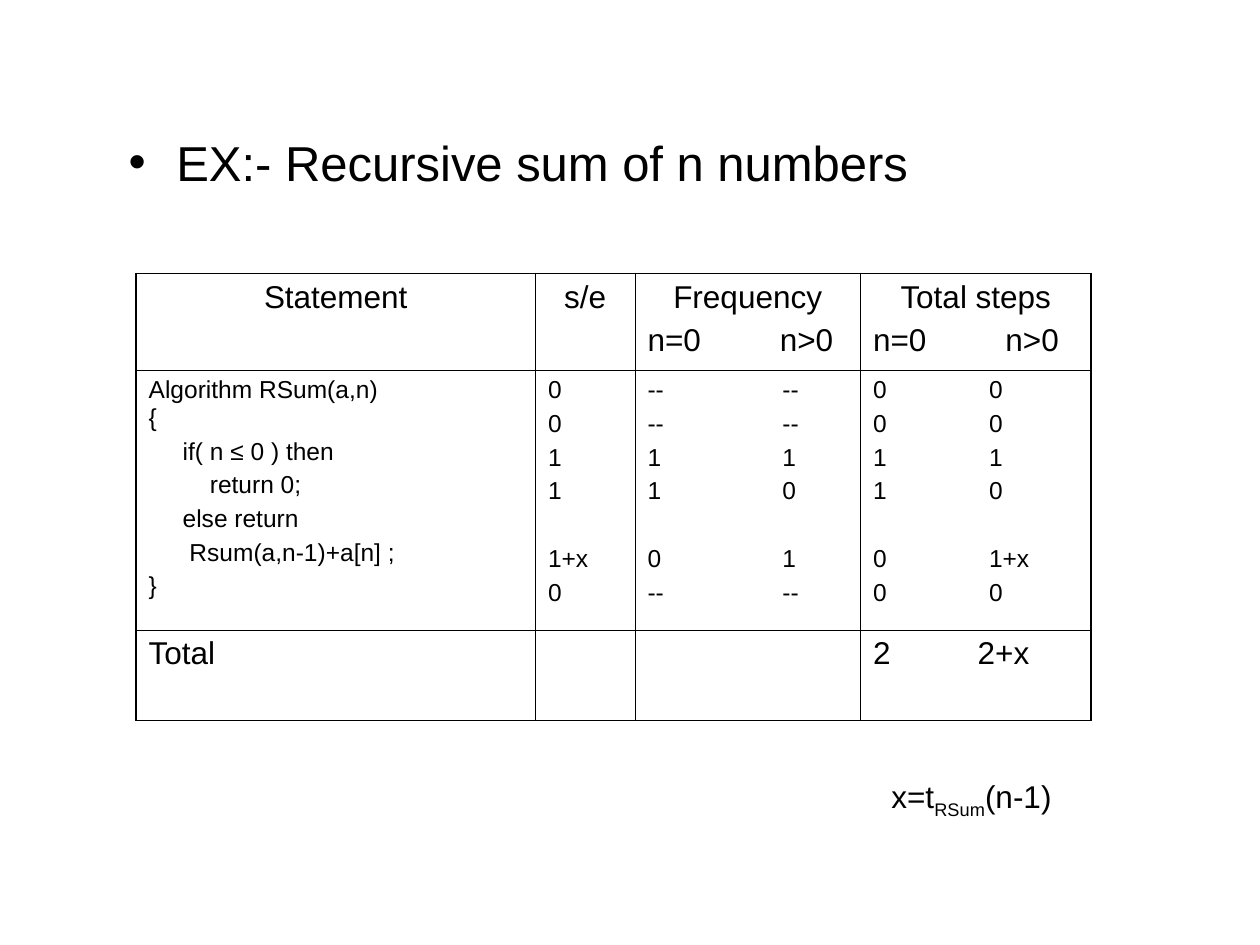
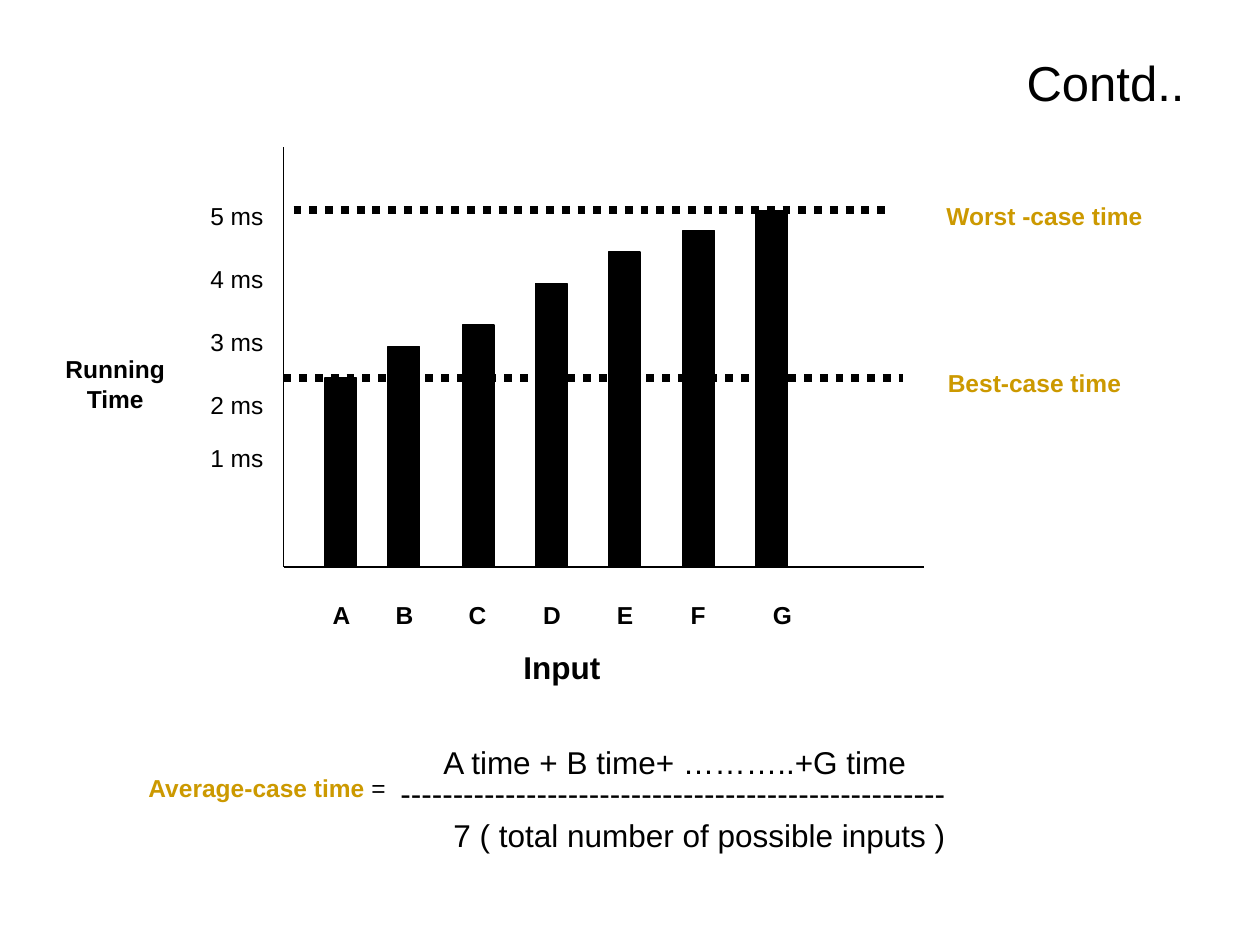
from dataclasses import dataclass
from typing import Optional

from lxml import etree
from pptx import Presentation
from pptx import util as u
from pptx.dml.color import RGBColor
from pptx.enum import dml, shapes, text
from pptx.oxml import ns


@dataclass(frozen=True)
class Theme:
    font: str = "Arial"
    ink: str = "000000"
    paper: str = "FFFFFF"
    accent: str = "CC9900"
    heading: float = 28
    large: float = 18
    small: float = 14
    hairline: float = 0.45
    frame: float = 1.08
    outline: float = 0.75
    level: float = 4.5


THEME = Theme()
CENTER = text.PP_ALIGN.CENTER
LEFT = text.PP_ALIGN.LEFT


@dataclass(frozen=True)
class Span:
    words: str
    size: float = THEME.small
    color: str = THEME.ink
    bold: bool = False
    baseline: int = 0


@dataclass(frozen=True)
class Box:
    left: float
    top: float
    width: float
    height: float


@dataclass(frozen=True)
class Label:
    box: Box
    lines: tuple[tuple[Span, ...], ...]
    align: text.PP_ALIGN = CENTER


@dataclass(frozen=True)
class Entry:
    lines: tuple[Optional[str], ...] = ()
    size: float = THEME.small
    tab: Optional[float] = None
    centered_lines: int = 0


@dataclass(frozen=True)
class Rule:
    start: tuple[float, float]
    end: tuple[float, float]
    weight: float = THEME.outline
    dotted: bool = False


@dataclass(frozen=True)
class Bar:
    letter: str
    left: float
    height: float
    letter_left: float


STATEMENT_ROWS = (
    (
        Entry(("Statement",), THEME.large, centered_lines=1),
        Entry(("s/e",), THEME.large, centered_lines=1),
        Entry(("Frequency", "n=0\tn>0"), THEME.large, 1.05, 1),
        Entry(("Total steps", "n=0\tn>0"), THEME.large, 1.05, 1),
    ),
    (
        Entry((
            "Algorithm RSum(a,n)\n{",
            "     if( n ≤ 0 ) then",
            "         return 0;",
            "     else return",
            "      Rsum(a,n-1)+a[n] ;",
            "}",
        )),
        Entry(("0", "0", "1", "1", None, "1+x", "0")),
        Entry(("--\t--", "--\t--", "1\t1", "1\t0", None, "0\t1", "--\t--"), tab=1.07),
        Entry(("0\t0", "0\t0", "1\t1", "1\t0", None, "0\t1+x", "0\t0"), tab=0.92),
    ),
    (
        Entry(("Total",), THEME.large),
        Entry(),
        Entry(),
        Entry(("2\t2+x",), THEME.large, 0.83),
    ),
)
COLUMN_WIDTHS = (3.17, 0.79, 1.79, 1.83)
ROW_HEIGHTS = (0.77, 2.06, 0.72)

BASELINE = 4.5
BARS = (
    Bar("A", 2.58, 1.5, 2.5),
    Bar("B", 3.08, 1.75, 3),
    Bar("C", 3.67, 1.92, 3.58),
    Bar("D", 4.25, 2.25, 4.17),
    Bar("E", 4.83, 2.5, 4.75),
    Bar("F", 5.42, 2.67, 5.33),
    Bar("G", 6, 2.83, 6),
)
MILLISECOND_TOPS = {5: 1.5, 4: 2, 3: 2.5, 2: 3, 1: 3.42}
AXES = (
    Rule((2.25, 1.17), (2.25, BASELINE)),
    Rule((2.25, BASELINE), (7.33, BASELINE)),
)
CASE_LEVELS = (
    Rule((2.25, 3), (7.17, 3), THEME.level, True),
    Rule((2.33, 1.67), (7.08, 1.67), THEME.level, True),
)


def small_bold(words: str, color: str = THEME.ink) -> Span:
    return Span(words, color=color, bold=True)


def large(words: str, baseline: int = 0) -> Span:
    return Span(words, THEME.large, baseline=baseline)


CHART_LABELS = (
    *(Label(Box(1.67, top, 0.42, 0.42), ((Span(f"{value} ms"),),))
      for value, top in MILLISECOND_TOPS.items()),
    Label(Box(7.42, 2.83, 1.58, 0.42), ((small_bold("Best-case time", THEME.accent),),)),
    Label(Box(7.5, 1.5, 1.58, 0.42), ((small_bold("Worst -case time", THEME.accent),),)),
    *(Label(Box(bar.letter_left, 4.67, 0.42, 0.42), ((small_bold(bar.letter),),))
      for bar in BARS),
    Label(Box(3.08, 5.08, 2.83, 0.42), ((Span("Input ", THEME.large, bold=True),),)),
    Label(Box(0.58, 1.92, 0.67, 2.25), ((small_bold("Running"),), (small_bold("Time"),))),
    Label(Box(1.08, 5.92, 8, 0.67),
          ((small_bold("Average-case time", THEME.accent), Span(" =")),), LEFT),
    Label(Box(3.42, 5.92, 5.33, 0.25), ((large("A time + B time+ ………..+G time"),),), LEFT),
    Label(Box(3.08, 6.17, 5.33, 0.25), ((large("-" * 52),),), LEFT),
    Label(Box(3.5, 6.5, 5.33, 0.25), ((large("7 ( total number of possible inputs )"),),), LEFT),
)
STEP_FORMULA = Label(
    Box(6.67, 6, 2.08, 0.67), ((large("x=t"), large("RSum", -25), large("(n-1)")),)
)


def rgb(color: str) -> RGBColor:
    return RGBColor.from_string(color)


def inches(box: Box) -> tuple[int, ...]:
    return tuple(u.Inches(side) for side in (box.left, box.top, box.width, box.height))


def add_span(paragraph, span: Span) -> None:
    run = paragraph.add_run()
    run.text = span.words
    run.font.name = THEME.font
    run.font.size = u.Pt(span.size)
    run.font.bold = span.bold
    run.font.color.rgb = rgb(span.color)
    if span.baseline:
        run._r.get_or_add_rPr().set("baseline", str(span.baseline * 1000))


def add_paragraph(frame, index: int):
    return frame.add_paragraph() if index else frame.paragraphs[0]


def place(placeholder, box: Box, span: Span):
    placeholder.left, placeholder.top, placeholder.width, placeholder.height = inches(box)
    placeholder.text_frame.auto_size = text.MSO_AUTO_SIZE.NONE
    paragraph = placeholder.text_frame.paragraphs[0]
    add_span(paragraph, span)
    return paragraph


def add_rectangle(slide, box: Box, color: str):
    rectangle = slide.shapes.add_shape(shapes.MSO_SHAPE.RECTANGLE, *inches(box))
    rectangle.shadow.inherit = False
    rectangle.fill.solid()
    rectangle.fill.fore_color.rgb = rgb(color)
    rectangle.line.color.rgb = rgb(color)
    rectangle.line.width = u.Pt(THEME.outline)
    return rectangle


def add_label(slide, label: Label) -> None:
    frame = add_rectangle(slide, label.box, THEME.paper).text_frame
    frame.word_wrap = False
    frame.vertical_anchor = text.MSO_ANCHOR.MIDDLE
    for index, spans in enumerate(label.lines):
        paragraph = add_paragraph(frame, index)
        paragraph.alignment = label.align
        for span in spans:
            add_span(paragraph, span)


def add_rule(slide, rule: Rule) -> None:
    ends = (u.Inches(value) for value in rule.start + rule.end)
    connector = slide.shapes.add_connector(shapes.MSO_CONNECTOR.STRAIGHT, *ends)
    connector.line.color.rgb = rgb(THEME.ink)
    connector.line.width = u.Pt(rule.weight)
    if rule.dotted:
        connector.line.dash_style = dml.MSO_LINE.ROUND_DOT
    etree.SubElement(connector._element.spPr, ns.qn("a:effectLst"))


def fill_entry(cell, entry: Entry) -> None:
    spacing = entry.size / 4
    skipped = 0
    visible = 0
    for line in entry.lines:
        if line is None:
            skipped += 1
            continue
        paragraph = add_paragraph(cell.text_frame, visible)
        paragraph.alignment = CENTER if visible < entry.centered_lines else LEFT
        if visible:
            paragraph.space_before = u.Pt(spacing + skipped * (entry.size * 1.15 + spacing))
        if entry.tab and "\t" in line:
            tabs = etree.SubElement(paragraph._p.get_or_add_pPr(), ns.qn("a:tabLst"))
            etree.SubElement(tabs, ns.qn("a:tab"), pos=str(u.Inches(entry.tab)), algn="l")
        for part_index, part in enumerate(line.split("\n")):
            if part_index:
                paragraph.add_line_break()
            add_span(paragraph, Span(part, entry.size))
        visible += 1
        skipped = 0


def set_borders(cell, weights: dict[str, float]) -> None:
    properties = cell._tc.get_or_add_tcPr()
    for index, (side, weight) in enumerate(weights.items()):
        border = etree.Element(ns.qn(f"a:ln{side}"), w=str(u.Pt(weight)))
        fill = etree.SubElement(border, ns.qn("a:solidFill"))
        etree.SubElement(fill, ns.qn("a:srgbClr"), val=THEME.ink)
        properties.insert(index, border)


def add_step_table(slide) -> None:
    box = Box(1.08, 2.17, sum(COLUMN_WIDTHS), sum(ROW_HEIGHTS))
    rows, columns = len(ROW_HEIGHTS), len(COLUMN_WIDTHS)
    table = slide.shapes.add_table(rows, columns, *inches(box)).table
    table.first_row = table.horz_banding = False
    for column, width in zip(table.columns, COLUMN_WIDTHS):
        column.width = u.Inches(width)
    for row_index, entries in enumerate(STATEMENT_ROWS):
        table.rows[row_index].height = u.Inches(ROW_HEIGHTS[row_index])
        for column_index, entry in enumerate(entries):
            cell = table.cell(row_index, column_index)
            cell.fill.background()
            fill_entry(cell, entry)
            outer = {
                "L": column_index == 0,
                "R": column_index == columns - 1,
                "T": row_index == 0,
                "B": row_index == rows - 1,
            }
            set_borders(cell, {side: THEME.frame if edge else THEME.hairline
                               for side, edge in outer.items()})


def build_recursive_sum(deck) -> None:
    slide = deck.slides.add_slide(deck.slide_layouts[1])
    unused_title = slide.shapes.title._element
    unused_title.getparent().remove(unused_title)
    example = place(slide.placeholders[1], Box(0.92, 1, 6.67, 0.95),
                    Span("EX:- Recursive sum of n numbers", THEME.heading))
    indents = example._p.get_or_add_pPr()
    indents.set("marL", str(u.Inches(0.38)))
    indents.set("indent", str(u.Inches(-0.38)))
    add_step_table(slide)
    add_label(slide, STEP_FORMULA)


def build_running_times(deck) -> None:
    slide = deck.slides.add_slide(deck.slide_layouts[5])
    heading = place(slide.shapes.title, Box(0.5, 0.3, 9, 0.7), Span("Contd..", THEME.heading))
    heading.alignment = text.PP_ALIGN.RIGHT
    slide.shapes.title.text_frame.vertical_anchor = text.MSO_ANCHOR.MIDDLE
    for axis in AXES:
        add_rule(slide, axis)
    for bar in BARS:
        add_rectangle(slide, Box(bar.left, BASELINE - bar.height, 0.25, bar.height), THEME.ink)
    for level in CASE_LEVELS:
        add_rule(slide, level)
    for label in CHART_LABELS:
        add_label(slide, label)


def main() -> None:
    deck = Presentation()
    deck.slide_width, deck.slide_height = u.Inches(10), u.Inches(7.5)
    build_recursive_sum(deck)
    build_running_times(deck)
    deck.save("out.pptx")


if __name__ == "__main__":
    main()
